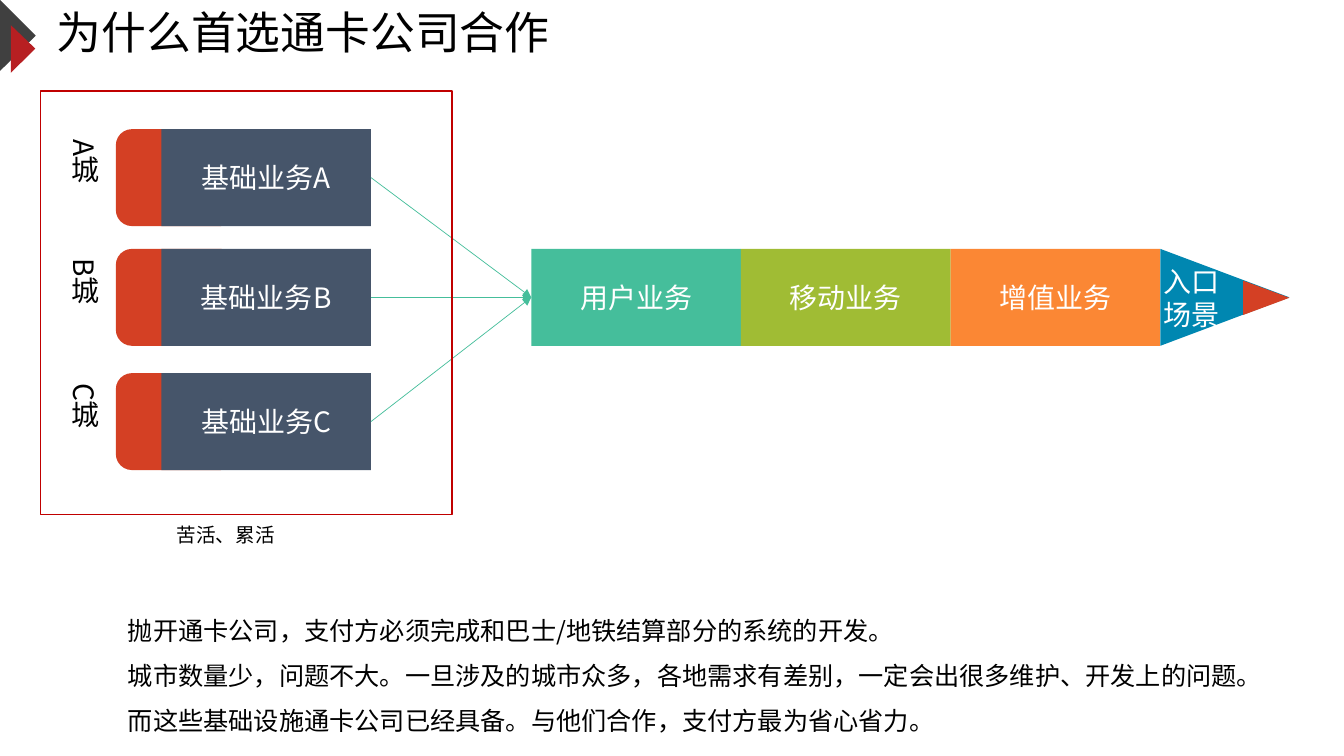
from dataclasses import dataclass
from typing import Any

import pptx
import pptx.dml.color
import pptx.enum.shapes
import pptx.enum.text
import pptx.oxml
import pptx.oxml.ns
import pptx.util
from lxml import etree

Pt = pptx.util.Pt
SHAPES = pptx.enum.shapes.MSO_SHAPE
ALIGN = pptx.enum.text.PP_ALIGN
ANCHOR = pptx.enum.text.MSO_ANCHOR
FONT = "Noto Sans CJK SC"
BLACK, WHITE = "000000", "FFFFFF"
RED, SLATE, GREEN = "D44024", "46556A", "45BE9B"

BLOCK_WIDTH, BLOCK_HEIGHT = 149.75, 69.25
CITY_LEFT, PENCIL_LEFT, PENCIL_TOP = 115.25, 379.5, 177.75


@dataclass(frozen=True)
class Box:
    left: float
    top: float
    width: float
    height: float

    def lengths(self) -> list[int]:
        return [Pt(v) for v in (self.left, self.top, self.width, self.height)]


@dataclass(frozen=True)
class City:
    letter: str
    top: float


@dataclass(frozen=True)
class Service:
    label: str
    color: str


@dataclass(frozen=True)
class Chevron:
    points: tuple[tuple[float, float], ...]
    color: str


CITIES = [City("A", 92.25), City("B", PENCIL_TOP), City("C", 266.5)]
SERVICES = [
    Service("用户业务", GREEN),
    Service("移动业务", "A0BC34"),
    Service("增值业务", "FB8734"),
]
CHEVRONS = [
    Chevron(((0, 0), (25.5, 25.5), (0, 50.75)), "404040"),
    Chevron(((7.75, 18), (25.25, 34.75), (7.75, 52)), "B71F22"),
]
REASONS = [
    "抛开通卡公司，支付方必须完成和巴士/地铁结算部分的系统的开发。",
    "城市数量少，问题不大。一旦涉及的城市众多，各地需求有差别，一定会出很多维护、开发上的问题。",
    "而这些基础设施通卡公司已经具备。与他们合作，支付方最为省心省力。",
]


def rgb(color: str) -> pptx.dml.color.RGBColor:
    return pptx.dml.color.RGBColor.from_string(color)


def paint(shape: Any, color: str) -> None:
    shape.shadow.inherit = False
    shape.fill.solid()
    shape.fill.fore_color.rgb = rgb(color)
    shape.line.fill.background()


def write(shape: Any, lines: list[str], size: float, color: str,
          align: Any = ALIGN.CENTER, anchor: Any = ANCHOR.MIDDLE,
          spacing: float = 1.0) -> None:
    frame = shape.text_frame
    frame.word_wrap = True
    frame.auto_size = pptx.enum.text.MSO_AUTO_SIZE.NONE
    frame.vertical_anchor = anchor
    frame.text = "\n".join(lines)
    for paragraph in frame.paragraphs:
        paragraph.alignment = align
        paragraph.line_spacing = spacing
        font = paragraph.font
        font.size = Pt(size)
        font.color.rgb = rgb(color)
        font.name = FONT
        defaults = paragraph._p.pPr.find(pptx.oxml.ns.qn("a:defRPr"))
        etree.SubElement(defaults, pptx.oxml.ns.qn("a:ea"), typeface=FONT)


def add_block(slide: Any, kind: Any, box: Box, color: str, label: str = "") -> Any:
    block = slide.shapes.add_shape(kind, *box.lengths())
    paint(block, color)
    if label:
        write(block, [label], 20, WHITE)
    return block


def add_note(slide: Any, box: Box, lines: list[str], size: float, color: str,
             **layout: Any) -> Any:
    note = slide.shapes.add_textbox(*box.lengths())
    write(note, lines, size, color, **layout)
    return note


def add_arrow(slide: Any, source: Any, target: Any) -> None:
    arrow = slide.shapes.add_connector(
        pptx.enum.shapes.MSO_CONNECTOR.STRAIGHT, 0, 0, 0, 0)
    arrow.begin_connect(source, 3)
    arrow.end_connect(target, 1)
    arrow.line.color.rgb = rgb(GREEN)
    arrow.line.width = Pt(0.5)
    etree.SubElement(arrow.line._get_or_add_ln(),
                     pptx.oxml.ns.qn("a:tailEnd"), type="triangle")
    etree.SubElement(arrow._element.spPr, pptx.oxml.ns.qn("a:effectLst"))


def add_chevron(slide: Any, chevron: Chevron) -> None:
    points = [(Pt(x), Pt(y)) for x, y in chevron.points]
    builder = slide.shapes.build_freeform(*points[0])
    builder.add_line_segments(points[1:], close=True)
    paint(builder.convert_to_shape(), chevron.color)


def add_city(slide: Any, city: City) -> Any:
    add_block(slide, SHAPES.ROUNDED_RECTANGLE,
              Box(82.75, city.top, 86.5, BLOCK_HEIGHT), RED)
    basics = add_block(slide, SHAPES.RECTANGLE,
                       Box(CITY_LEFT, city.top, BLOCK_WIDTH, BLOCK_HEIGHT),
                       SLATE, f"基础业务{city.letter}")
    name = add_note(slide, Box(41, city.top, 39, BLOCK_HEIGHT),
                    [f"{city.letter}城"], 20, BLACK)
    name.text_frame._txBody.bodyPr.set("vert", "eaVert")
    return basics


def add_pencil(slide: Any) -> Any:
    blocks = [
        add_block(slide, SHAPES.RECTANGLE,
                  Box(PENCIL_LEFT + i * BLOCK_WIDTH, PENCIL_TOP,
                      BLOCK_WIDTH, BLOCK_HEIGHT), service.color, service.label)
        for i, service in enumerate(SERVICES)
    ]
    tip = add_block(slide, SHAPES.ISOSCELES_TRIANGLE,
                    Box(840.25, 166.25, BLOCK_HEIGHT, 92.25), "0087B1")
    lead = add_block(slide, SHAPES.ISOSCELES_TRIANGLE,
                     Box(892.25, 196.25, 24.5, 33), RED)
    tip.rotation = lead.rotation = 90
    return blocks[0]


def main() -> None:
    deck = pptx.Presentation()
    deck.slide_width, deck.slide_height = Pt(960), Pt(540)
    slide = deck.slides.add_slide(deck.slide_layouts[5])

    for chevron in CHEVRONS:
        add_chevron(slide, chevron)
    title = slide.shapes.title
    title.left, title.top, title.width, title.height = Box(33.25, 6.5, 674.5, 37.5).lengths()
    write(title, ["为什么首选通卡公司合作"], 32, BLACK, align=ALIGN.LEFT, spacing=0.9)

    user_service = add_pencil(slide)
    for city in CITIES:
        add_arrow(slide, add_city(slide, city), user_service)

    add_note(slide, Box(84.25, 425, 836.5, 105), REASONS, 18, BLACK,
             align=ALIGN.LEFT, anchor=ANCHOR.TOP, spacing=1.5)
    hard_work = slide.shapes.add_shape(SHAPES.RECTANGLE, *Box(29, 65, 294, 302.5).lengths())
    hard_work.shadow.inherit = False
    hard_work.fill.background()
    hard_work.line.color.rgb = rgb("C00000")
    hard_work.line.width = Pt(1)
    add_note(slide, Box(100, 370, 122.5, 24.5), ["苦活、累活"], 14, BLACK)
    add_note(slide, Box(821, 185, 60.5, 55.5), ["入口", "场景"], 20, WHITE)

    deck.save("out.pptx")


if __name__ == "__main__":
    main()
